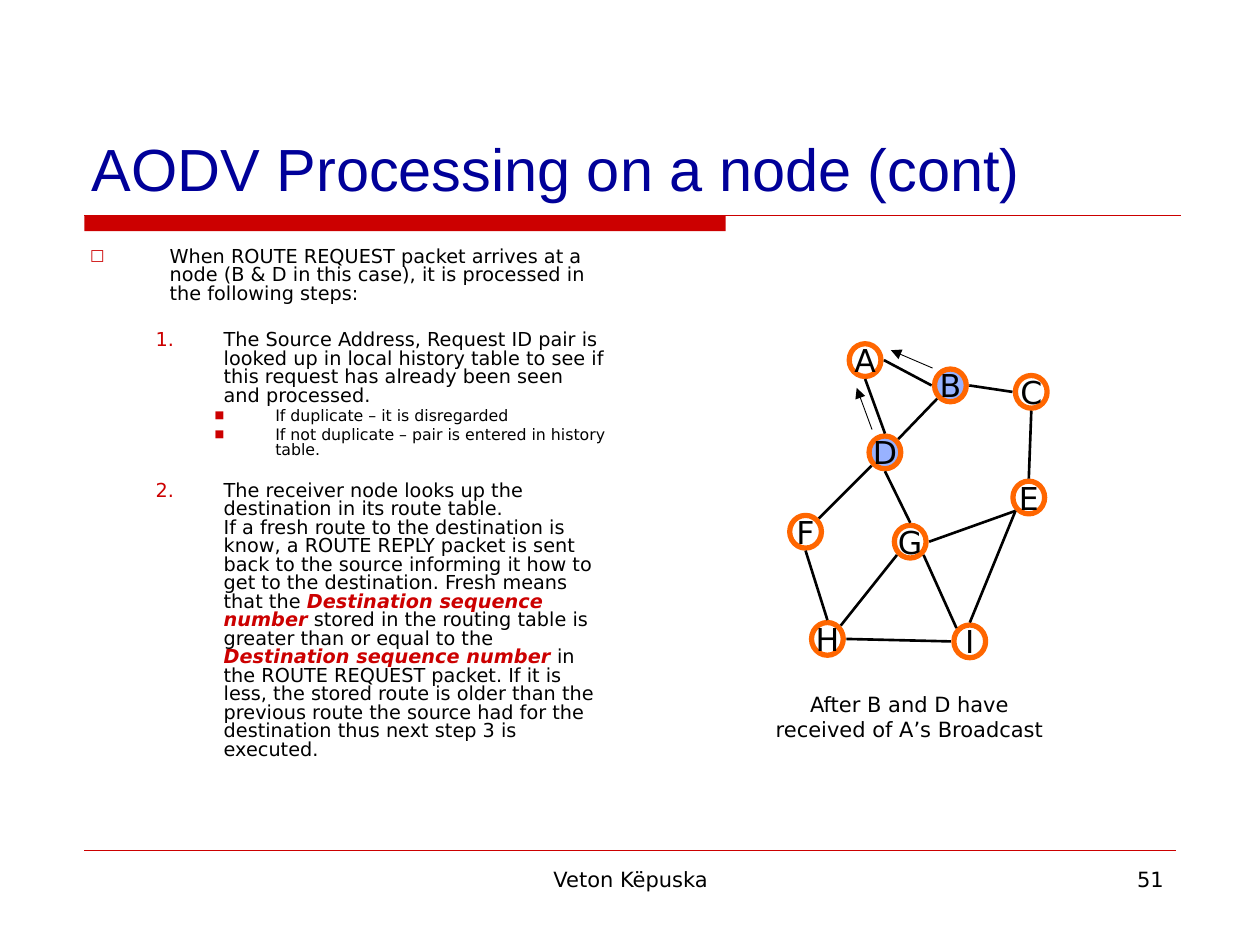
import math
from dataclasses import dataclass

import pptx
import pptx.dml.color
import pptx.enum.shapes
import pptx.enum.text
import pptx.oxml
import pptx.oxml.ns
import pptx.util

Cm = pptx.util.Cm
Pt = pptx.util.Pt
ALIGN = pptx.enum.text.PP_ALIGN
ANCHOR = pptx.enum.text.MSO_ANCHOR
SHAPE = pptx.enum.shapes.MSO_SHAPE


@dataclass(frozen=True)
class Theme:
    ink: str = "000000"
    title: str = "000099"
    accent: str = "CC0000"
    ring: str = "FF6600"
    paper: str = "FFFFFF"
    reached: str = "3366FF"
    title_font: str = "Arial"
    body_font: str = "DejaVu Sans"
    title_size: float = 34
    node_size: float = 18
    label_size: float = 12
    body_size: float = 11
    detail_size: float = 9


def rgb(value):
    return pptx.dml.color.RGBColor.from_string(value)


def add_element(parent, tag, **attributes):
    element = pptx.oxml.parse_xml(f"<a:{tag} {pptx.oxml.ns.nsdecls('a')}/>")
    for name, value in attributes.items():
        element.set(name, str(value))
    parent.append(element)
    return element


class SlideBuilder:
    def __init__(self, deck, theme):
        self.theme = theme
        self.slide = deck.slides.add_slide(deck.slide_layouts[5])

    def run(self, para, text, size, color=None, font=None, strong=False):
        span = para.add_run()
        span.text = text
        span.font.size = Pt(size)
        span.font.name = font or self.theme.body_font
        span.font.color.rgb = rgb(color or self.theme.ink)
        span.font.bold = span.font.italic = strong

    def title(self, text, left, top, width, height):
        box = self.slide.shapes.title
        box.left, box.top, box.width, box.height = map(Cm, (left, top, width, height))
        box.text_frame.vertical_anchor = ANCHOR.BOTTOM
        para = box.text_frame.paragraphs[0]
        para.alignment = ALIGN.LEFT
        self.run(para, text, self.theme.title_size, self.theme.title, self.theme.title_font)

    def frame(self, left, top, width, height):
        box = self.slide.shapes.add_textbox(*map(Cm, (left, top, width, height)))
        box.text_frame.word_wrap = True
        return box.text_frame

    def label(self, text, align, *place):
        para = self.frame(*place).paragraphs[0]
        para.alignment = align
        self.run(para, text, self.theme.label_size)

    def bullet(self, para, margin, hang, mark, percent):
        """Give a paragraph a hanging symbol, or a number when mark is an int."""
        props = para._p.get_or_add_pPr()
        props.set("marL", str(Cm(margin)))
        props.set("indent", str(-Cm(hang)))
        color = add_element(props, "buClr")
        add_element(color, "srgbClr", val=self.theme.accent)
        add_element(props, "buSzPct", val=percent * 1000)
        add_element(props, "buFont", typeface=self.theme.body_font)
        if isinstance(mark, int):
            add_element(props, "buAutoNum", type="arabicPeriod", startAt=mark)
        else:
            add_element(props, "buChar", char=mark)

    def bar(self, left, top, width, height):
        bar = self.slide.shapes.add_shape(
            SHAPE.RECTANGLE, *map(Cm, (left, top, width, height)))
        bar.shadow.inherit = False
        bar.fill.solid()
        bar.fill.fore_color.rgb = rgb(self.theme.accent)
        bar.line.fill.background()

    def line(self, start, end, width, color=None, arrow=False):
        line = self.slide.shapes.add_connector(
            pptx.enum.shapes.MSO_CONNECTOR.STRAIGHT, *map(Cm, (*start, *end)))
        line.line.width = Pt(width)
        line.line.color.rgb = rgb(color or self.theme.ink)
        if arrow:
            add_element(line.line._get_or_add_ln(), "tailEnd", type="triangle")
        add_element(line._element.spPr, "effectLst")

    def node(self, name, center, reached):
        width, height = 0.64, 0.66
        x, y = center
        node = self.slide.shapes.add_shape(
            SHAPE.OVAL, Cm(x - width / 2), Cm(y - height / 2), Cm(width), Cm(height))
        node.shadow.inherit = False
        node.fill.solid()
        node.fill.fore_color.rgb = rgb(self.theme.reached if reached else self.theme.paper)
        if reached:
            color = node._element.spPr.find(".//" + pptx.oxml.ns.qn("a:srgbClr"))
            add_element(color, "alpha", val=50000)
        node.line.color.rgb = rgb(self.theme.ring)
        node.line.width = Pt(3)
        node.text_frame.word_wrap = False
        node.text_frame.vertical_anchor = ANCHOR.MIDDLE
        para = node.text_frame.paragraphs[0]
        para.alignment = ALIGN.CENTER
        self.run(para, name, self.theme.node_size)


NODES = {
    "A": (17.44, 7.26), "B": (19.16, 7.77), "C": (20.79, 7.9),
    "D": (17.84, 9.12), "G": (18.35, 10.92), "E": (20.74, 10.03),
    "F": (16.24, 10.72), "H": (16.68, 12.88), "I": (19.55, 12.93),
}
REACHED = "BD"
# Each link: node and compass side, at both ends
LINKS = [
    "A E B W", "A S D N", "B SW D NE", "B E C W", "E N C S", "E SW I N", "D S G N",
    "I NW G SE", "I W H E", "H NE G SW", "H N F S", "F NE D SW", "G E E SW",
]
SIDES = ["E", "SE", "S", "SW", "W", "NW", "N", "NE"]


def link_end(node, side):
    reach = 0.38
    angle = math.radians(45 * SIDES.index(side))
    x, y = NODES[node]
    return x + reach * math.cos(angle), y + reach * math.sin(angle)


def add_steps(page, theme):
    top = dict(margin=1.6, hang=1.6, mark="□", percent=80)
    detail = dict(margin=3.73, hang=1.22, mark="■", percent=65)
    step = dict(margin=2.69, hang=1.37, percent=100)
    term = "Destination sequence number"
    # Bullet style, text size, space before, runs (a term is emphasised)
    steps = [
        (top, theme.body_size, 0, [
            "When ROUTE REQUEST packet arrives at a node (B & D in this case), "
            "it is processed in the following steps:"]),
        (dict(step, mark=1), theme.body_size, 16, [
            "The Source Address, Request ID pair is looked up in local history table "
            "to see if this request has already been seen and processed."]),
        (detail, theme.detail_size, 2.2, ["If duplicate – it is disregarded"]),
        (detail, theme.detail_size, 2.2, [
            "If not duplicate – pair is entered in history table."]),
        (dict(step, mark=2), theme.body_size, 13.5, [
            "The receiver node looks up the destination in its route table. ", "\n",
            "If a fresh route to the destination is know, a ROUTE REPLY packet is sent "
            "back to the source informing it how to get to the destination. "
            "Fresh means that the ", term,
            " stored in the routing table is greater than or equal to the ", term,
            " in the ROUTE REQUEST packet. If it is less, the stored route is older than "
            "the previous route the source had for the destination thus next step 3 is "
            "executed."]),
    ]
    frame = page.frame(1.57, 4.88, 10.9, 11.86)
    for index, (style, size, space, texts) in enumerate(steps):
        para = frame.add_paragraph() if index else frame.paragraphs[0]
        page.bullet(para, **style)
        para.line_spacing = 0.8
        if index:
            para.space_before = Pt(space)
        for text in texts:
            if text == "\n":
                para.add_line_break()
            else:
                strong = text == term
                page.run(para, text, size, theme.accent if strong else None, strong=strong)


def main():
    theme = Theme()
    deck = pptx.Presentation()
    deck.slide_width, deck.slide_height = Cm(25.4), Cm(19.05)
    page = SlideBuilder(deck, theme)

    # Title and rules
    page.title("AODV Processing on a node (cont)", 1.6, 0.84, 22.23, 3.38)
    page.bar(1.7, 4.34, 12.93, 0.32)
    page.line((1.7, 4.34), (23.8, 4.34), 0.75, theme.accent)
    page.line((1.7, 17.15), (23.7, 17.15), 0.25, theme.accent)

    # Footer
    page.label("Veton Këpuska", ALIGN.CENTER, 8.69, 17.35, 8.05, 1.32)
    page.label("51", ALIGN.RIGHT, 18.21, 17.35, 5.5, 1.32)

    add_steps(page, theme)

    # Network graph
    for name, center in NODES.items():
        page.node(name, center, name in REACHED)
    for link in LINKS:
        first, first_side, second, second_side = link.split()
        page.line(link_end(first, first_side), link_end(second, second_side), 1.5)

    # Broadcast arrows and caption
    page.line((18.8, 7.42), (17.96, 7.06), 0.5, arrow=True)
    page.line((17.58, 8.66), (17.27, 7.82), 0.5, arrow=True)
    page.label("After B and D have received of A’s Broadcast", ALIGN.CENTER,
               15.34, 13.82, 5.99, 1.27)

    deck.save("out.pptx")


if __name__ == "__main__":
    main()
